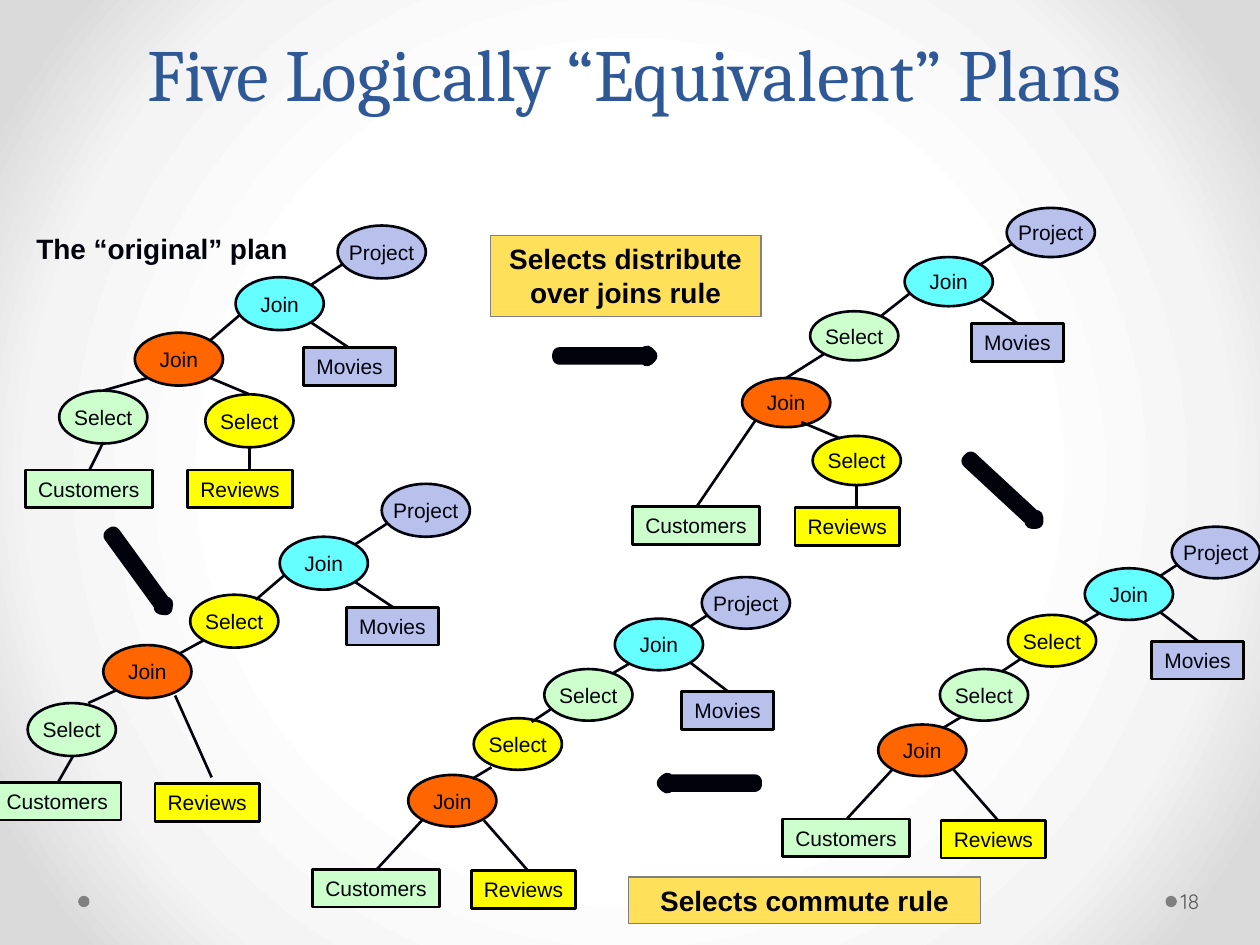
from lxml import etree
from pptx import Presentation
from pptx.dml.color import RGBColor
from pptx.enum.shapes import MSO_CONNECTOR as Connector, MSO_SHAPE as Shape
from pptx.enum.text import MSO_ANCHOR as Anchor, MSO_AUTO_SIZE as AutoSize, PP_ALIGN as Align
from pptx.oxml import parse_xml
from pptx.oxml.ns import nsdecls, qn
from pptx.util import Inches, Pt

COLUMNS, ROWS = 100, 75
COLORS = {
    "ink": "01020B", "black": "000000", "grey": "808080", "title": "2F5897", "number": "595959",
    "customers": "CCFFCC", "reviews": "FFFF00", "movies": "B8C1EC",
    "inner join": "FF6600", "outer join": "66FFFF", "rule": "FFE05B", "arrow": "6076B4",
}
BACKDROP = [(50, "FFFFFF"), (76, "F4F4F4"), (92, "DADADA")]
TABLE_WIDTHS = {"Customers": 10.1, "Reviews": 8.3, "Movies": 7.3}
LOWER_NODES = [("Select", "customers"), ("Select", "reviews"), ("Join", "inner join"),
               ("Customers", "customers"), ("Reviews", "reviews")]

COMMUTED = dict(
    height=4.1, project=(6.9, -3.3), movies=(5.3, 5.8),
    edges=[(-18.9, 19.9, -15.3, 16), (-6.9, 20, -10.4, 16), (1.1, 3.6, -0.1, 4.3),
           (-5.1, 7.2, -6.6, 8.2), (-9.8, 11.8, -11.3, 12.7)])
COMMUTED_LOWER = [(-16.4, 12.4), (-24, 19.9), (-11.4, 20)]
PLANS = [
    dict(join=(18.7, 22), height=4.2, project=(8.1, -4.1), movies=(5.4, 5.6),
         lower=[(-14, 9), (-2.4, 9.3), (-8, 4.4), (-16.7, 15.3), (-3.8, 15.3)],
         edges=[(-11.6, 15.3, -10.5, 13.1), (1.1, 15.3, 1.1, 13.5), (-2, 5, 0.8, 2.6),
                (-10.5, 9, -7, 8), (1.1, 9.3, -2, 8)]),
    dict(join=(22.2, 42.6), height=4.2, project=(8.1, -4.2), movies=(5.3, 5.6),
         lower=[(-20, 13.2), (-7.1, 4.6), (-14, 8.6), (-22.7, 19.5), (-9.9, 19.6)],
         edges=[(-17.6, 19.5, -16.4, 17.4), (-5.4, 19.1, -8.3, 12.6), (-1.9, 5, 0.9, 2.6),
                (-15.2, 13.2, -13, 12.2), (-8, 9.3, -6, 8.2)]),
    dict(join=(71.8, 20.4), height=3.9, project=(8.1, -3.9), movies=(5.3, 5.3),
         lower=[(-7.5, 4.3), (-7.3, 14.2), (-12.9, 9.6), (-21.6, 19.8), (-8.7, 19.9)],
         edges=[(-3.8, 19.9, -3.8, 18.1), (-1.9, 4.7, 0.9, 2.5), (-5.1, 14.4, -8.2, 13.1),
                (-16.5, 19.8, -11.8, 12.9), (-6.4, 7.7, -9.4, 9.6)]),
    dict(COMMUTED, join=(86.1, 45.1), lower=[(-11.5, 8), (-6.1, 3.7)] + COMMUTED_LOWER),
    dict(COMMUTED, join=(48.8, 49.1), lower=[(-5.6, 4), (-11.2, 7.9)] + COMMUTED_LOWER),
]
ARROWS = [(44.4, 28, 0), (7.4, 45.1, 54), (76, 38.7, 42.8), (52.7, 61.9, 180)]


def write_text(shape, text, size=12, font="Arial", color="ink", bold=False, align=Align.CENTER,
               anchor=Anchor.TOP, wrap=True, spacing=None):
    frame = shape.text_frame
    frame.auto_size, frame.word_wrap, frame.vertical_anchor = AutoSize.NONE, wrap, anchor
    paragraph = frame.paragraphs[0]
    paragraph.alignment = align
    if spacing:
        paragraph.line_spacing = Pt(spacing)
    run = paragraph.add_run()
    run.text = text
    run.font.size, run.font.name, run.font.bold = Pt(size), font, bold
    run.font.color.rgb = RGBColor.from_string(COLORS[color])


class PlanSlide:
    """Draws query plans on a grid of columns and rows."""

    def __init__(self, presentation):
        self.column = presentation.slide_width / COLUMNS
        self.row = presentation.slide_height / ROWS
        self.slide = presentation.slides.add_slide(presentation.slide_layouts[5])
        self.canvas = self.slide.shapes

    def place(self, *lengths):
        return [round(length * unit) for length, unit in zip(lengths, [self.column, self.row] * 2)]

    def background(self):
        self.slide.background.fill.solid()
        stops = "".join(f'<a:gs pos="{share * 1000}"><a:srgbClr val="{color}"/></a:gs>'
                        for share, color in BACKDROP)
        gradient = parse_xml(
            f'<a:gradFill {nsdecls("a")} rotWithShape="1"><a:gsLst>{stops}</a:gsLst><a:path path="circle">'
            '<a:fillToRect l="50000" t="50000" r="50000" b="50000"/></a:path></a:gradFill>')
        solid = next(self.slide.element.iter(qn("a:solidFill")))
        solid.getparent().replace(solid, gradient)

    def title(self, text, left, top, width, height):
        shape = self.slide.shapes.title
        shape.left, shape.top, shape.width, shape.height = self.place(left, top, width, height)
        write_text(shape, text, size=42, font="Cambria", color="title", anchor=Anchor.BOTTOM, spacing=58)

    def shape(self, kind, box, fill, line=None, weight=1.5):
        shape = self.canvas.add_shape(kind, *self.place(*box))
        shape.shadow.inherit = False
        shape.fill.solid()
        shape.fill.fore_color.rgb = RGBColor.from_string(COLORS[fill])
        if line:
            shape.line.color.rgb = RGBColor.from_string(COLORS[line])
            shape.line.width = Pt(weight)
        else:
            shape.line.fill.background()
        return shape

    def edge(self, *ends):
        connector = self.canvas.add_connector(Connector.STRAIGHT, *self.place(*ends))
        connector.line.color.rgb = RGBColor.from_string(COLORS["ink"])
        connector.line.width = Pt(1.5)
        etree.SubElement(connector.element.spPr, qn("a:effectLst"))

    def node(self, text, fill, left, top, height):
        if text in TABLE_WIDTHS:
            shape = self.shape(Shape.RECTANGLE, (left, top, TABLE_WIDTHS[text], 3), fill, "black")
            write_text(shape, text, wrap=False)
        else:
            shape = self.shape(Shape.OVAL, (left, top, 7, height), fill, "ink")
            write_text(shape, text, wrap=False, anchor=Anchor.MIDDLE)

    def plan(self, join, height, project, movies, lower, edges):
        left, top = join
        self.canvas = self.slide.shapes.add_group_shape().shapes
        upper_edges = [(6, 0.6, 8.6, -1.1), (6, height - 0.6, 9, movies[1])]
        upper = [("Project", "movies", project), ("Join", "outer join", (0, 0)),
                 ("Movies", "movies", movies)]
        for (text, fill), (x, y) in zip(LOWER_NODES, lower):
            self.node(text, fill, left + x, top + y, height)
        for x1, y1, x2, y2 in edges + upper_edges:
            self.edge(left + x1, top + y1, left + x2, top + y2)
        for text, fill, (x, y) in upper:
            self.node(text, fill, left + x, top + y, height)
        self.canvas = self.slide.shapes

    def arrow(self, left, top, angle):
        self.shape(Shape.RIGHT_ARROW, (left, top, 7.2, 0.5), "arrow", "ink", 8.25).rotation = angle

    def rule(self, text, *box):
        write_text(self.shape(Shape.RECTANGLE, box, "rule", "grey", 0.75), text, size=16, bold=True)

    def label(self, text, *box, **style):
        shape = self.canvas.add_textbox(*self.place(*box))
        write_text(shape, text, align=Align.LEFT, **style)
        return shape


def main():
    presentation = Presentation()
    presentation.slide_width, presentation.slide_height = Inches(10), Inches(7.5)
    page = PlanSlide(presentation)
    page.background()
    for left in (92.5, 6.2):
        page.shape(Shape.OVAL, (left, 71.1, 0.9, 0.9), "grey")
    page.title("Five Logically “Equivalent” Plans", 2.1, 2.5, 96.5, 7.2)
    number = page.label("18", 93.4, 69.5, 6.1, 4, font="Quicksand", color="number", anchor=Anchor.MIDDLE)
    number.text_frame.margin_left = Inches(0.03)
    number.text_frame.margin_right = Inches(0.05)
    for plan in PLANS:
        page.plan(**plan)
    for arrow in ARROWS:
        page.arrow(*arrow)
    page.label("The “original” plan", 1.9, 17.9, 23, 3.7, size=16, bold=True)
    page.rule("Selects distribute over joins rule", 38.9, 18.7, 21.5, 6.4)
    page.rule("Selects commute rule", 49.9, 69.6, 27.9, 3.7)
    presentation.save("out.pptx")


if __name__ == "__main__":
    main()
